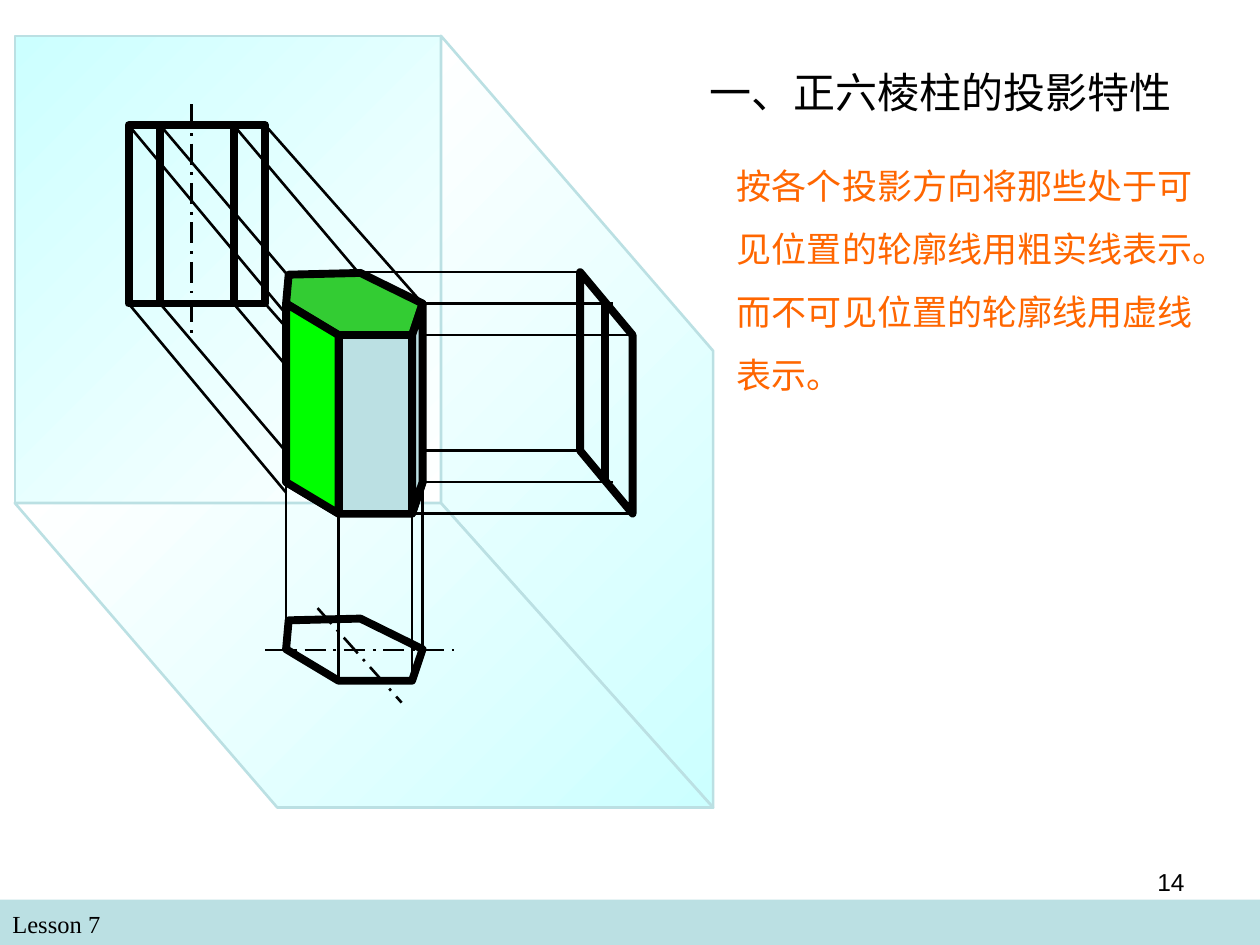
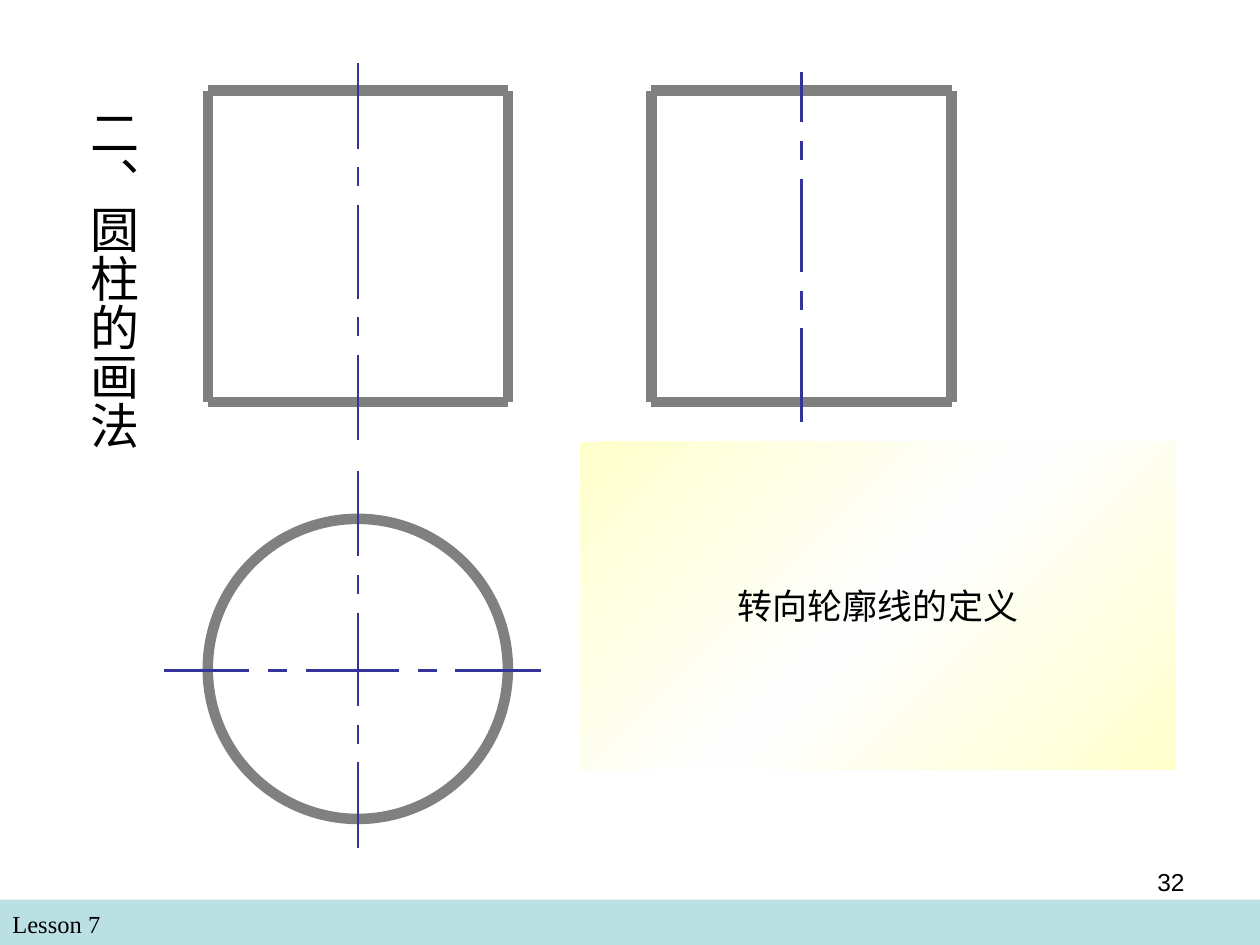
from copy import deepcopy
from dataclasses import dataclass

from pptx import Presentation
from pptx.dml.color import RGBColor
from pptx.enum.dml import MSO_LINE
from pptx.enum.shapes import MSO_CONNECTOR, MSO_SHAPE
from pptx.enum.text import MSO_ANCHOR, MSO_AUTO_SIZE, PP_ALIGN
from pptx.oxml.ns import qn
from pptx.oxml.xmlchemy import OxmlElement
from pptx.util import Pt

BLACK = RGBColor(0x00, 0x00, 0x00)
WHITE = RGBColor(0xFF, 0xFF, 0xFF)
NEAR_WHITE = RGBColor(0xFE, 0xFE, 0xFE)
PALE_TEAL = RGBColor(0xBB, 0xE0, 0xE3)
PALE_CYAN = RGBColor(0xCC, 0xFF, 0xFF)
PALE_YELLOW = RGBColor(0xFF, 0xFF, 0xCC)
LEAF_GREEN = RGBColor(0x33, 0xCC, 0x33)
BRIGHT_GREEN = RGBColor(0x00, 0xFF, 0x00)
ORANGE = RGBColor(0xFF, 0x66, 0x00)
GRAY = RGBColor(0x80, 0x80, 0x80)
INDIGO = RGBColor(0x33, 0x33, 0x99)

SANS, SERIF = "Arial", "Times New Roman"
THIN, THICK, HEAVY = 1.5, 4.5, 6

# Hexagonal prism, relative to the top left of its box
HEXAGON = [(0, 17.5), (30, 35.5), (72, 35.5), (78, 17.5), (42.5, 0), (1.5, 1)]
PRISM_WIDTH, PRISM_HEIGHT = 78, 102

# Dash rhythm of a centre line
AXIS_DOT, AXIS_DASH, AXIS_END = 10.7, 53.5, 49


@dataclass
class Box:
    left: float
    top: float
    width: float
    height: float

    def points(self, offsets):
        return [(self.left + x, self.top + y) for x, y in offsets]

    def lengths(self):
        return [Pt(n) for n in (self.left, self.top, self.width, self.height)]


# Drawing helpers
def paint(shape, fill=None, line=None, weight=THIN):
    shape.shadow.inherit = False
    if isinstance(fill, list):
        paint_gradient(shape, fill)
    elif fill is not None:
        shape.fill.solid()
        shape.fill.fore_color.rgb = fill
    else:
        shape.fill.background()
    if line is None:
        shape.line.fill.background()
    else:
        shape.line.color.rgb = line
        shape.line.width = Pt(weight)


def paint_gradient(shape, colors):
    shape.fill.gradient()
    shape.fill.gradient_angle = 135
    stop_list = shape._element.spPr.find(".//" + qn("a:gsLst"))
    while len(stop_list) < len(colors):
        stop_list.append(deepcopy(stop_list[0]))
    for index, (stop, color) in enumerate(zip(shape.fill.gradient_stops, colors)):
        stop.color.rgb = color
        stop.position = index / (len(colors) - 1)


def add_preset(slide, kind, box, fill=None, line=None, weight=THIN):
    shape = slide.shapes.add_shape(kind, *box.lengths())
    paint(shape, fill, line, weight)
    return shape


def add_polygon(slide, points, fill=None, line=BLACK, weight=THICK):
    corners = [(Pt(x), Pt(y)) for x, y in points]
    builder = slide.shapes.build_freeform(*corners[0])
    builder.add_line_segments(corners[1:], close=True)
    shape = builder.convert_to_shape()
    paint(shape, fill, line, weight)
    shape.line._get_or_add_ln().append(OxmlElement("a:round"))


def add_line(slide, start, end, color=BLACK, weight=THIN, dash=None):
    line = slide.shapes.add_connector(
        MSO_CONNECTOR.STRAIGHT, *[Pt(n) for n in (*start, *end)])
    line.line.color.rgb = color
    line.line.width = Pt(weight)
    if dash is not None:
        line.line.dash_style = dash
    line._element.spPr.append(OxmlElement("a:effectLst"))


def write(shape, text, size, color=BLACK, font=SANS, align=PP_ALIGN.LEFT,
          anchor=MSO_ANCHOR.TOP, spacing=1.0, wrap=True):
    frame = shape.text_frame
    frame.word_wrap = wrap
    frame.auto_size = MSO_AUTO_SIZE.NONE
    frame.vertical_anchor = anchor
    paragraph = frame.paragraphs[0]
    paragraph.alignment = align
    paragraph.line_spacing = spacing
    paragraph.space_before = Pt(0)
    run = paragraph.add_run()
    run.text = text
    run.font.size = Pt(size)
    run.font.name = font
    run.font.color.rgb = color


def add_text(slide, box, text, size, **style):
    write(slide.shapes.add_textbox(*box.lengths()), text, size, **style)


# Shared frame: footer band, lesson label, page number, title
def start_slide(presentation, page):
    slide = presentation.slides.add_slide(presentation.slide_layouts[5])
    add_preset(slide, MSO_SHAPE.RECTANGLE, Box(0, 514, 720, 26), PALE_TEAL)
    add_text(slide, Box(0, 516, 348, 24.5), "Lesson 7", 14, font=SERIF)
    add_text(slide, Box(516, 492, 168, 37.5), str(page), 14, align=PP_ALIGN.RIGHT)
    return slide


def place_title(slide, box, text, size, **style):
    title = slide.shapes.title
    title.left, title.top, title.width, title.height = box.lengths()
    write(title, text, size, **style)
    return title


# Projection planes
def draw_planes(slide, box):
    fold_x, fold_y = 243.5, 267
    back = Box(box.left, box.top, fold_x, fold_y)
    corner = (box.width, box.height)
    side = [(fold_x, 0), (box.width, 180), corner, (fold_x, fold_y)]
    floor = [corner, (150, box.height), (0, fold_y), (fold_x, fold_y)]
    add_preset(slide, MSO_SHAPE.RECTANGLE, back, [WHITE, PALE_CYAN], PALE_TEAL)
    for plane in (side, floor):
        add_polygon(slide, box.points(plane), [PALE_CYAN, WHITE], PALE_TEAL, THIN)


# Side view with its projection lines
def draw_side_view(slide, box, prism):
    rays = [(42.5, 0, 0), (78, 18, 19), (72, 36, 30)]
    for drop in (0, box.height - 36):
        for prism_x, y, view_x in rays:
            level = box.top + y + drop
            add_line(slide, (prism.left + prism_x, level), (box.left + view_x, level))
    outline = [(0, 0), (0, box.height - 36), (box.width, box.height), (box.width, 36)]
    add_polygon(slide, box.points(outline))
    add_line(slide, *box.points([(14, 18.5), (14, box.height - 18)]), weight=THICK)


# Front view with its projection lines
def draw_front_view(slide, box):
    rays = [(0, 90, 108), (18, 102, 120), (60, 101.5, 120), (78, 90, 102)]
    for y in (0, box.height):
        for x, run_x, run_y in rays:
            add_line(slide, *box.points([(x, y), (x + run_x, y + run_y)]))
    add_preset(slide, MSO_SHAPE.RECTANGLE, box, line=BLACK, weight=THICK)
    for x in (18, 60):
        add_line(slide, *box.points([(x, 0), (x, box.height)]), weight=THICK)
    add_line(slide, *box.points([(36, -12), (36, box.height + 18)]),
             dash=MSO_LINE.LONG_DASH_DOT)


# Top view with its projection lines
def draw_top_view(slide, box):
    for (x, y), length in zip(HEXAGON[:4], (96, 96, 102, 96)):
        add_line(slide, *box.points([(x, y - length), (x, y)]))
    add_polygon(slide, box.points(HEXAGON))
    for axis in ([(18, -6), (66, 48)], [(-12, 18), (96, 18)]):
        add_line(slide, *box.points(axis), dash=MSO_LINE.LONG_DASH_DOT)


# The prism itself
def draw_prism(slide, box):
    def face(first, second):
        (x1, y1), (x2, y2) = first, second
        return box.points([(x1, y1), (x1, y1 + PRISM_HEIGHT),
                           (x2, y2 + PRISM_HEIGHT), (x2, y2)])

    left, front_left, front_right, right = HEXAGON[:4]
    add_polygon(slide, box.points([(x, y + PRISM_HEIGHT) for x, y in HEXAGON]))
    add_polygon(slide, box.points(HEXAGON), LEAF_GREEN)
    add_polygon(slide, face(left, front_left), BRIGHT_GREEN)
    x, y = front_left
    front = Box(box.left + x, box.top + y, front_right[0] - x, PRISM_HEIGHT)
    add_preset(slide, MSO_SHAPE.RECTANGLE, front, PALE_TEAL, BLACK, THICK)
    add_polygon(slide, face(front_right, right), PALE_TEAL)


def build_prism_slide(presentation):
    slide = start_slide(presentation, 14)
    place_title(slide, Box(394, 37.5, 286.5, 48), "一、正六棱柱的投影特性", 24,
                align=PP_ALIGN.CENTER, spacing=0.9)
    prism = Box(163.5, 156, PRISM_WIDTH, PRISM_HEIGHT + 35.5)
    draw_planes(slide, Box(8.5, 20.5, 399, 441))
    draw_side_view(slide, Box(331.5, 155.5, 30, PRISM_HEIGHT + 36), prism)
    draw_front_view(slide, Box(73.5, 71.5, PRISM_WIDTH, PRISM_HEIGHT))
    draw_top_view(slide, Box(163.5, 353.5, PRISM_WIDTH, 35.5))
    draw_prism(slide, prism)
    add_text(slide, Box(414, 88.5, 291.5, 130.5),
             "按各个投影方向将那些处于可见位置的轮廓线用粗实线表示。"
             "而不可见位置的轮廓线用虚线表示。",
             20, color=ORANGE, anchor=MSO_ANCHOR.MIDDLE, spacing=1.5)


# Centre line: dash, dot, dash, dot, dash with equal gaps
def draw_axis(slide, x, y, first=AXIS_END, last=AXIS_END, vertical=True):
    for length in (first, AXIS_DOT, AXIS_DASH, AXIS_DOT, last):
        step_x, step_y = (0, length) if vertical else (length, 0)
        add_line(slide, (x, y), (x + step_x, y + step_y), INDIGO)
        if vertical:
            y += length + AXIS_DOT
        else:
            x += length + AXIS_DOT


# Rectangular view of the cylinder, drawn edge by edge
def draw_cylinder_view(slide, box):
    right, bottom = box.width, box.height
    edges = [[(0, bottom), (right, bottom)], [(0, 0), (right, 0)],
             [(0, 0), (0, bottom)], [(right, bottom), (right, 0)]]
    for edge in edges:
        add_line(slide, *box.points(edge), GRAY, HEAVY)


def build_cylinder_slide(presentation):
    slide = start_slide(presentation, 32)
    title = place_title(slide, Box(37.5, 54.5, 47.5, 227), "二、圆柱的画法", 28)
    frame = title.text_frame
    frame.margin_left = frame.margin_right = Pt(3.6)
    frame.margin_top = frame.margin_bottom = Pt(7.2)
    title._element.txBody.bodyPr.set("vert", "eaVert")

    diameter, height, front_left, side_left = 171.5, 178, 118.75, 372.25
    circle = Box(front_left, 296.5, diameter, diameter)
    add_preset(slide, MSO_SHAPE.OVAL, circle, line=GRAY, weight=HEAVY)
    for left in (front_left, side_left):
        draw_cylinder_view(slide, Box(left, 51.75, diameter, height))

    center_x = front_left + diameter / 2
    draw_axis(slide, side_left + diameter / 2, 41, first=29, last=AXIS_DASH)
    draw_axis(slide, center_x, 36)
    draw_axis(slide, center_x, 269)
    draw_axis(slide, 93.5, 383, vertical=False)

    panel = add_preset(slide, MSO_SHAPE.RECTANGLE, Box(331.5, 252.5, 340.5, 187.5),
                       [PALE_YELLOW, NEAR_WHITE, PALE_YELLOW])
    write(panel, "转向轮廓线的定义", 20, align=PP_ALIGN.CENTER,
          anchor=MSO_ANCHOR.MIDDLE, wrap=False)


def main():
    presentation = Presentation()
    presentation.slide_width, presentation.slide_height = Pt(720), Pt(540)
    build_prism_slide(presentation)
    build_cylinder_slide(presentation)
    presentation.save("out.pptx")


if __name__ == "__main__":
    main()
